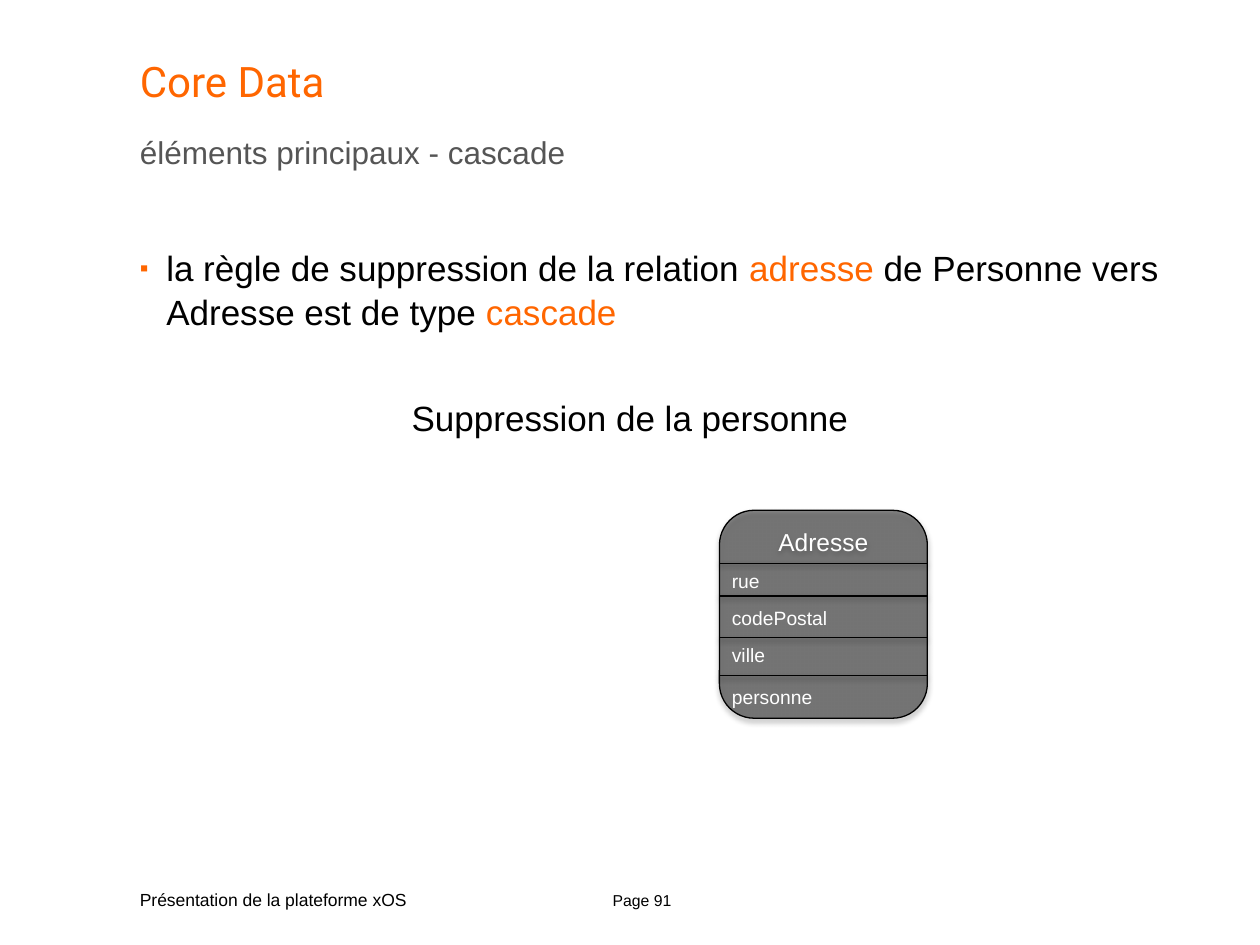
from lxml import etree
from pptx import Presentation
from pptx import util as u
from pptx.dml.color import RGBColor
from pptx.enum import shapes, text
from pptx.oxml.ns import qn

ORANGE = RGBColor(0xFF, 0x66, 0x00)
GREY = RGBColor(0x55, 0x55, 0x55)
BLACK = RGBColor(0, 0, 0)
WHITE = RGBColor(0xFF, 0xFF, 0xFF)
CENTER = text.PP_ALIGN.CENTER


def sub(parent, tag, **attrs):
    return etree.SubElement(parent, qn(tag), {k: str(v) for k, v in attrs.items()})


class Deck:
    font = "Arial"

    def __init__(self, width, height):
        self.prs = Presentation()
        self.prs.slide_width = u.Inches(width)
        self.prs.slide_height = u.Inches(height)
        self.s = self.prs.slides.add_slide(self.prs.slide_layouts[6])

    def fill_text(self, sp, runs, size, align=None, font=None, bullet=False):
        """Fill a shape with one paragraph made of (words, colour) runs."""
        tf = sp.text_frame
        tf.word_wrap = True
        tf.vertical_anchor = text.MSO_ANCHOR.TOP
        p = tf.paragraphs[0]
        if bullet:
            self.bullet(p)
        p.alignment = align
        for words, color in runs:
            r = p.add_run()
            r.text = words
            formats = {"size": u.Pt(size), "name": font or self.font}
            for name, value in formats.items():
                setattr(r.font, name, value)
            r.font.color.rgb = color

    def bullet(self, p):
        p.line_spacing = 1.05
        pPr = p._p.get_or_add_pPr()
        pPr.set("marL", str(u.Inches(0.21)))
        pPr.set("indent", str(-u.Inches(0.21)))
        color = sub(pPr, "a:buClr")
        sub(color, "a:srgbClr", val=ORANGE)
        sub(pPr, "a:buSzPct", val=70000)
        sub(pPr, "a:buFont", typeface=self.font)
        sub(pPr, "a:buChar", char="▪")

    def text(self, box, runs, size, inset=(0.1, 0.05), **style):
        sp = self.s.shapes.add_textbox(*map(u.Inches, box))
        tf = sp.text_frame
        tf.margin_left = tf.margin_right = u.Inches(inset[0])
        tf.margin_top = tf.margin_bottom = u.Inches(inset[1])
        self.fill_text(sp, runs, size, **style)

    def shadow(self, sp, alpha, distance):
        effects = sub(sp._element.spPr, "a:effectLst")
        outer = sub(effects, "a:outerShdw", blurRad=u.Pt(3.1), dist=u.Pt(distance),
                    dir=90 * 60000, rotWithShape=0)
        color = sub(outer, "a:srgbClr", val=BLACK)
        sub(color, "a:alpha", val=alpha * 1000)

    def outline(self, sp):
        sp.line.color.rgb = BLACK
        sp.line.width = u.Pt(0.75)

    def entity(self, box, name):
        sp = self.s.shapes.add_shape(shapes.MSO_SHAPE.ROUNDED_RECTANGLE, *map(u.Inches, box))
        sp.fill.solid()
        sp.fill.fore_color.rgb = BLACK
        fill = sp._element.spPr.find(qn("a:solidFill"))
        sub(fill[0], "a:alpha", val=46000)
        self.outline(sp)
        self.shadow(sp, 35, 1.8)
        self.fill_text(sp, [(name, WHITE)], 14, align=CENTER)

    def divider(self, left, right, y):
        line = self.s.shapes.add_connector(
            shapes.MSO_CONNECTOR.STRAIGHT, *map(u.Inches, (left, y, right, y)))
        self.outline(line)
        self.shadow(line, 38, 1.6)


def main():
    deck = Deck(10, 7.5)
    left, flush = 1.11, (0, 0)

    deck.text((4.69, 7.02, 0.81, 0.24), [("Page 91", BLACK)], 9, align=CENTER)
    rule = [
        ("la règle de suppression de la relation ", BLACK),
        ("adresse ", ORANGE),
        ("de Personne vers Adresse est de type ", BLACK),
        ("cascade", ORANGE),
    ]
    deck.text((left, 1.94, 8.78, 0.87), rule, 20, flush, bullet=True)
    deck.text((left, 0.44, 8.54, 0.54), [("Core Data", ORANGE)], 24, flush, font="Roboto")
    deck.text((left, 7.01, 2.72, 0.24),
              [("Présentation de la plateforme xOS", BLACK)], 10, (0, 0.05))
    deck.text((left, 1.06, 8.54, 0.33), [("éléments principaux - cascade", GREY)], 18, flush)

    x, side = 5.71, 1.65
    deck.entity((x, 4.05, side, side), "Adresse")
    # attribute name, top of its text, line above it
    attributes = [
        ("rue", 4.47, 4.47),
        ("codePostal", 4.76, 4.73),
        ("ville", 5.06, 5.06),
        ("personne", 5.39, 5.36),
    ]
    for name, top, line in attributes:
        deck.text((x, top, side, 0.29), [(name, WHITE)], 11)
        deck.divider(x, x + side, line)

    deck.text((0, 3.1, 10, 0.44), [("Suppression de la personne", BLACK)], 20, align=CENTER)
    deck.prs.save("out.pptx")


if __name__ == "__main__":
    main()
